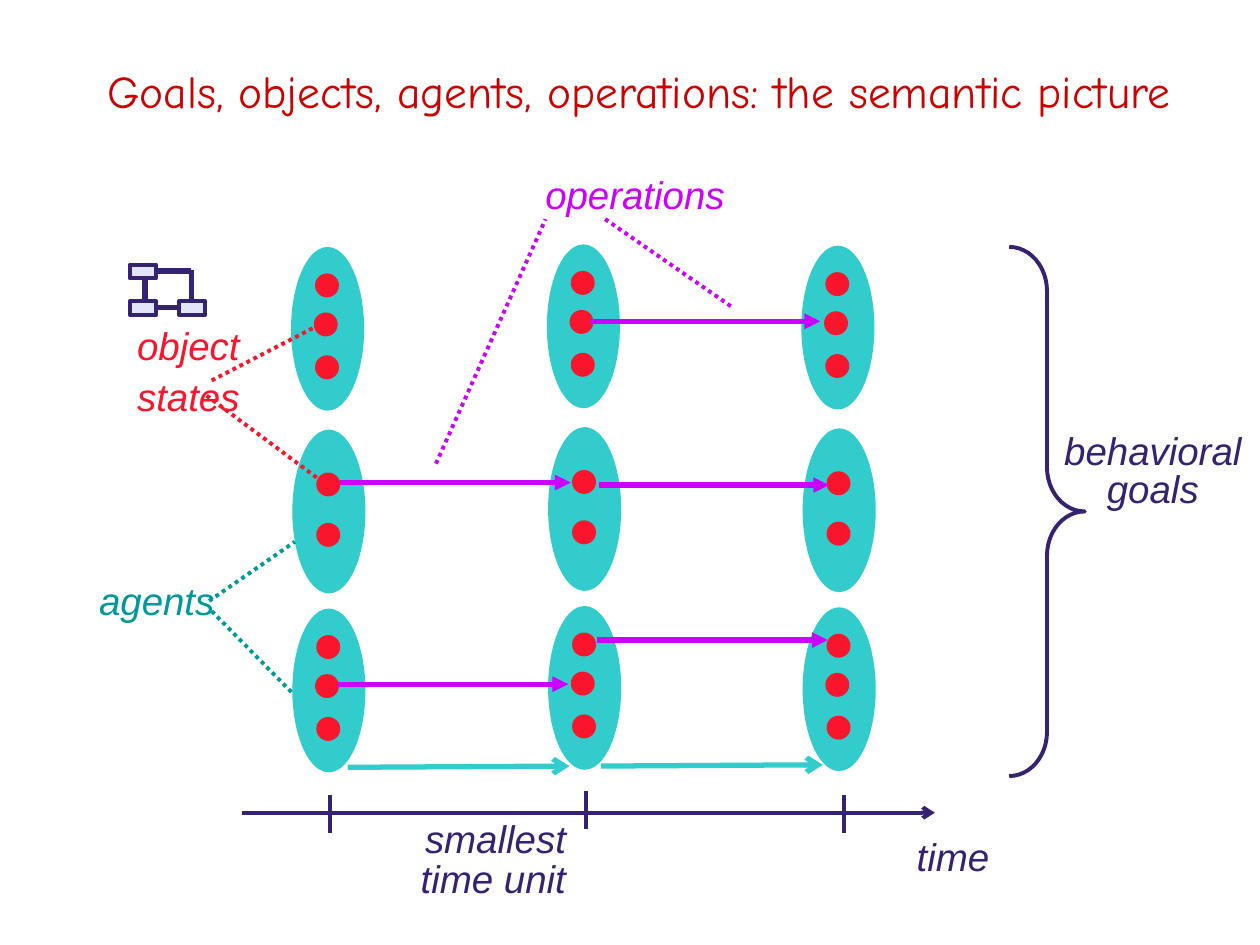
from lxml import etree
from pptx import Presentation
from pptx.dml.color import RGBColor
from pptx.enum.dml import MSO_LINE as Dash
from pptx.enum.shapes import MSO_CONNECTOR as Conn, MSO_SHAPE as Geo
from pptx.enum.text import MSO_ANCHOR as Anchor, PP_ALIGN as Align
from pptx.oxml.ns import qn
from pptx.util import Inches, Pt

RED = RGBColor(0xF9, 0x15, 0x2B)
TITLE = RGBColor(0xCC, 0x00, 0x00)
TEAL = RGBColor(0x33, 0xCC, 0xCC)
GREEN = RGBColor(0x00, 0x99, 0x99)
PURPLE = RGBColor(0xCC, 0x00, 0xFF)
NAVY = RGBColor(0x35, 0x22, 0x70)
PALE = RGBColor(0xE2, 0xE5, 0xFA)

ARIAL = "Arial"
COMIC = "Comic Neue"


def add_text(slide, box, paras, color, align=Align.RIGHT, size=22,
             font=ARIAL, italic=True, indent=0.38):
    """Each paragraph is (wording, line spacing, points before)."""
    frame = slide.shapes.add_textbox(*map(Inches, box)).text_frame
    frame.word_wrap = True
    frame.vertical_anchor = Anchor.MIDDLE
    for i, (words, lead, before) in enumerate(paras):
        para = frame.paragraphs[0] if i == 0 else frame.add_paragraph()
        para.alignment = align
        para.line_spacing = lead
        if before:
            para.space_before = Pt(before)
        if indent:
            props = para._p.get_or_add_pPr()
            props.set("marL", str(Inches(indent)))
            props.set("indent", str(-Inches(indent)))
        run = para.add_run()
        run.text = words
        run.font.name = font
        run.font.size = Pt(size)
        run.font.italic = italic
        run.font.color.rgb = color


def add_shape(slide, geo, box, fill=None, edge=None):
    shape = slide.shapes.add_shape(geo, *map(Inches, box))
    shape.shadow.inherit = False
    if fill is None:
        shape.fill.background()
    else:
        shape.fill.solid()
        shape.fill.fore_color.rgb = fill
    if edge is None:
        shape.line.fill.background()
    else:
        shape.line.color.rgb = edge
        shape.line.width = Pt(2.25)
    return shape


def add_line(slide, start, end, color, width=2.25, head=None, dotted=False):
    line = slide.shapes.add_connector(Conn.STRAIGHT, *map(Inches, start + end))
    line.line.color.rgb = color
    line.line.width = Pt(width)
    if dotted:
        line.line.dash_style = Dash.ROUND_DOT
    if head:
        etree.SubElement(line.line._get_or_add_ln(), qn("a:tailEnd"), type=head)
    etree.SubElement(line._element.spPr, qn("a:effectLst"))


def add_title(slide, box):
    add_text(slide, box, [("Goals, objects, agents, operations: the semantic picture", 1.2, 0)],
             TITLE, Align.CENTER, 26, COMIC, False, 0)


def add_agents(slide, x, y):
    """Three agents at three moments, each with its object states."""
    cols = [(0, 0), (2.03, -0.02), (4.05, -0.01)]
    three = [(0.19, 0.21), (0.18, 0.52), (0.19, 0.86)]
    two = [(0.19, 0.34), (0.19, 0.74)]
    rows = [(0, 0, three), (0.01, 1.45, two), (0.01, 2.87, three)]
    for cx, cy in cols:
        for rx, ry, dots in rows:
            left, top = x + cx + rx, y + cy + ry
            add_shape(slide, Geo.OVAL, (left, top, 0.58, 1.3), TEAL)
            for dx, dy in dots:
                add_shape(slide, Geo.OVAL, (left + dx, top + dy, 0.19, 0.19), RED)


def add_moves(slide, x, y):
    """Operations between states, and the steps below the agents."""
    for dx, dy in [(0.39, 1.87), (0.37, 3.47), (2.37, 0.59), (2.43, 3.12), (2.44, 1.89)]:
        add_line(slide, (x + dx, y + dy), (x + dx + 1.83, y + dy), PURPLE, 3, "triangle")
    for dx, dy in [(0.45, 4.13), (2.46, 4.12)]:
        add_line(slide, (x + dx, y + dy), (x + dx + 1.76, y + dy - 0.01), TEAL, 3, "arrow")


def add_label(slide, box, words, color, rays):
    """A label with dotted rays, measured from the corner of its box."""
    x, y = box[:2]
    add_text(slide, box, [(words, 1.1, 0)], color)
    for x1, y1, x2, y2 in rays:
        add_line(slide, (x + x1, y + y1), (x + x2, y + y2), color, dotted=True)


def add_axis(slide, x, y):
    add_line(slide, (x, y), (x + 5.5, y), NAVY, head="arrow")
    for dx, dy in [(0.7, -0.14), (2.73, -0.17), (4.78, -0.14)]:
        add_line(slide, (x + dx, y + dy), (x + dx, y + dy + 0.3), NAVY)
    add_text(slide, (x + 0.76, y - 0.01, 1.91, 0.67),
             [("smallest", 1.1, 0), ("time unit", 0.4, 10)], NAVY)
    add_text(slide, (x + 4.68, y - 0.01, 1.35, 0.67), [("time", 1.1, 0)], NAVY)


def add_goals(slide, x, y):
    brace = add_shape(slide, Geo.RIGHT_BRACE, (x, y, 0.6, 4.2), edge=NAVY)
    brace.adjustments[0] = 0.584
    brace.adjustments[1] = 0.5
    add_text(slide, (x + 0.29, y + 1.42, 1.7, 0.67),
             [("behavioral", 1.0, 0), ("goals", 0.6, 5)], NAVY, Align.CENTER)


def add_icon(slide, x, y):
    """Small object diagram: three linked boxes."""
    for dx, dy in [(0, 0), (0.39, 0.29), (0, 0.29)]:
        add_shape(slide, Geo.RECTANGLE, (x + dx, y + dy, 0.21, 0.11), PALE, NAVY)
    for x1, y1, x2, y2 in [(0.2, 0.34, 0.39, 0.34), (0.49, 0.28, 0.49, 0.04),
                           (0.21, 0.05, 0.49, 0.05), (0.12, 0.29, 0.12, 0.11)]:
        add_line(slide, (x + x1, y + y1), (x + x2, y + y2), NAVY, 3)


def main():
    deck = Presentation()
    deck.slide_width, deck.slide_height = Inches(10), Inches(7.5)
    slide = deck.slides.add_slide(deck.slide_layouts[6])

    add_title(slide, (0.29, 0.26, 9.57, 0.83))
    add_agents(slide, 2.31, 1.96)
    add_moves(slide, 2.31, 1.96)
    add_axis(slide, 1.92, 6.45)
    add_label(slide, (0.34, 2.61, 1.66, 0.62), "object states", RED,
              [(1.3, 0.53, 2.2, 1.2), (1.34, 0.41, 2.19, -0.03)])
    add_label(slide, (0.28, 4.41, 1.52, 0.67), "agents", GREEN,
              [(1.4, 0.44, 2.05, 1.1), (1.38, 0.36, 2.06, -0.11)])
    add_label(slide, (3.24, 1.19, 2.61, 0.67), "operations", PURPLE,
              [(0.22, 2.49, 1.09, 0.55), (2.56, 1.24, 1.55, 0.54)])
    add_goals(slide, 8.01, 1.96)
    add_icon(slide, 1.03, 2.1)

    deck.save("out.pptx")


if __name__ == "__main__":
    main()
